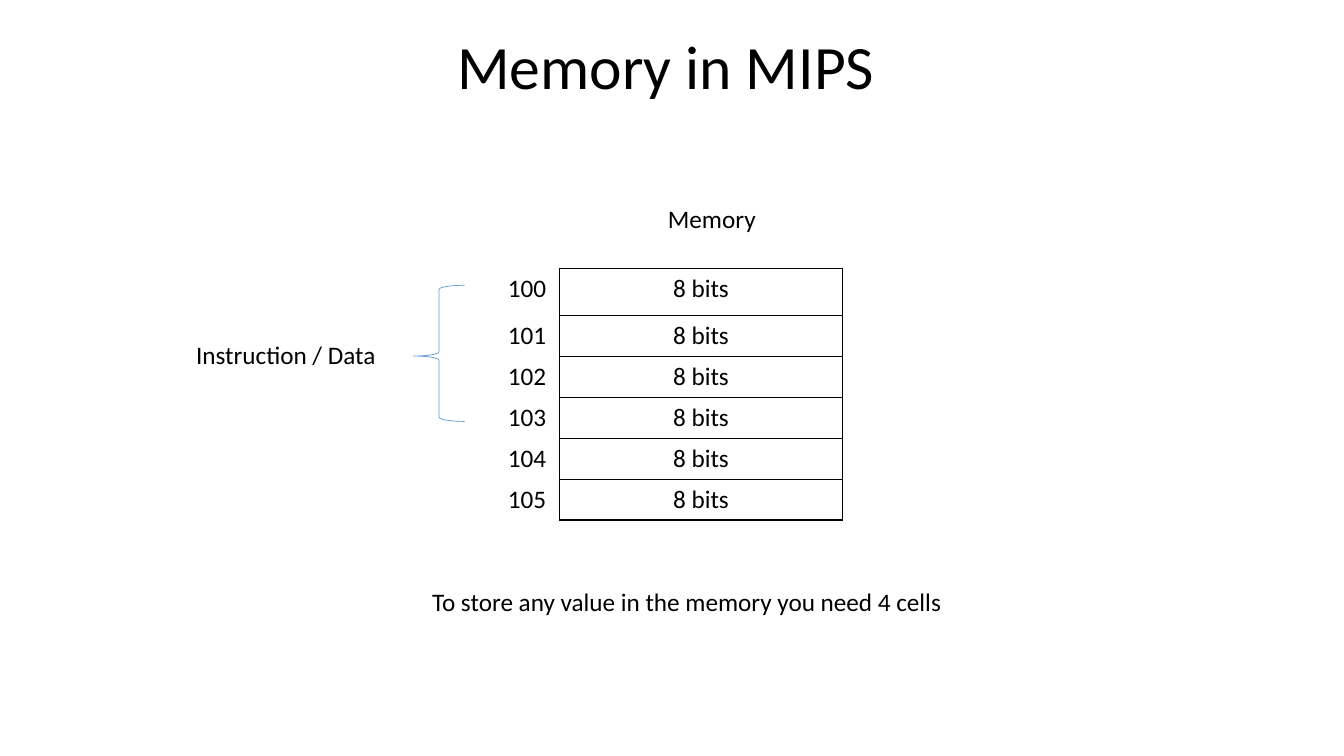
import pptx
import pptx.util
import pptx.dml.color
import pptx.enum.shapes
import pptx.enum.text
import pptx.oxml.ns
from lxml import etree

Pt = pptx.util.Pt
ALIGN = pptx.enum.text.PP_ALIGN
ANCHOR = pptx.enum.text.MSO_ANCHOR

# Content
TITLE = "Memory in MIPS"
LABELS = [  # text, (left, top, width, height)
    ("Memory", (470, 142, 186.5, 29)),
    ("Instruction / Data", (133, 238.5, 186.5, 29)),
    ("To store any value in the memory you need 4 cells", (301.5, 415.5, 405.5, 29)),
]
ADDRESSES = range(100, 106)
CELL = "8 bits"

THEME = {
    "font": "Calibri", "title": 44, "body": 18,
    "text": "000000", "border": "000000", "brace": "5B9BD5",
}

# Layout
TITLE_BOX = (319.5, 14.4, 391, 70)
TABLE_LEFT, TABLE_TOP = 355.5, 191.5
COLUMN_WIDTHS = (44, 202.5)
FIRST_ROW, ROW = 34, 29.2
BRACE_BOX = (295.2, 203.8, 36.7, 97.2)


def color(key):
    return pptx.dml.color.RGBColor.from_string(THEME[key])


def write(tf, text, size, align=ALIGN.LEFT):
    p = tf.paragraphs[0]
    p.alignment = align
    r = p.add_run()
    r.text = text
    r.font.name = THEME["font"]
    r.font.size = Pt(THEME[size])
    r.font.color.rgb = color("text")
    return p


def add_text(s, text, box, size="body", anchor=ANCHOR.TOP):
    tf = s.shapes.add_textbox(*map(Pt, box)).text_frame
    tf.word_wrap = True
    tf.vertical_anchor = anchor
    return write(tf, text, size)


def set_borders(cell, sides):
    tc_pr = cell._tc.get_or_add_tcPr()
    qn = pptx.oxml.ns.qn
    for side in "LRTB":
        ln = etree.SubElement(tc_pr, qn("a:ln" + side), w=str(Pt(1)))
        if side in sides:
            fill = etree.SubElement(ln, qn("a:solidFill"))
            etree.SubElement(fill, qn("a:srgbClr"), val=THEME["border"])
        else:
            etree.SubElement(ln, qn("a:noFill"))


prs = pptx.Presentation()
prs.slide_width, prs.slide_height = Pt(960), Pt(540)
s = prs.slides.add_slide(prs.slide_layouts[6])

# Title
add_text(s, TITLE, TITLE_BOX, "title", ANCHOR.MIDDLE).line_spacing = 0.9

# Memory table: address beside each bordered cell
row_heights = [FIRST_ROW] + [ROW] * (len(ADDRESSES) - 1)
table = s.shapes.add_table(
    len(ADDRESSES), len(COLUMN_WIDTHS), Pt(TABLE_LEFT), Pt(TABLE_TOP),
    Pt(sum(COLUMN_WIDTHS)), Pt(sum(row_heights))).table
table.first_row = table.horz_banding = False
for column, width in zip(table.columns, COLUMN_WIDTHS):
    column.width = Pt(width)
for i, (address, height) in enumerate(zip(ADDRESSES, row_heights)):
    table.rows[i].height = Pt(height)
    parts = ((str(address), ALIGN.LEFT, "R"), (CELL, ALIGN.CENTER, "LRTB"))
    for j, (text, align, sides) in enumerate(parts):
        cell = table.cell(i, j)
        write(cell.text_frame, text, "body", align)
        set_borders(cell, sides)
        cell.fill.background()

# Brace around the four cells of one word
brace = s.shapes.add_shape(
    pptx.enum.shapes.MSO_SHAPE.LEFT_BRACE, *map(Pt, BRACE_BOX))
brace.shadow.inherit = False
brace.fill.background()
brace.line.color.rgb = color("brace")
brace.line.width = Pt(0.5)
brace.adjustments[0] = 0.08
brace.adjustments[1] = 0.52

# Labels
for text, box in LABELS:
    add_text(s, text, box)

prs.save("out.pptx")
